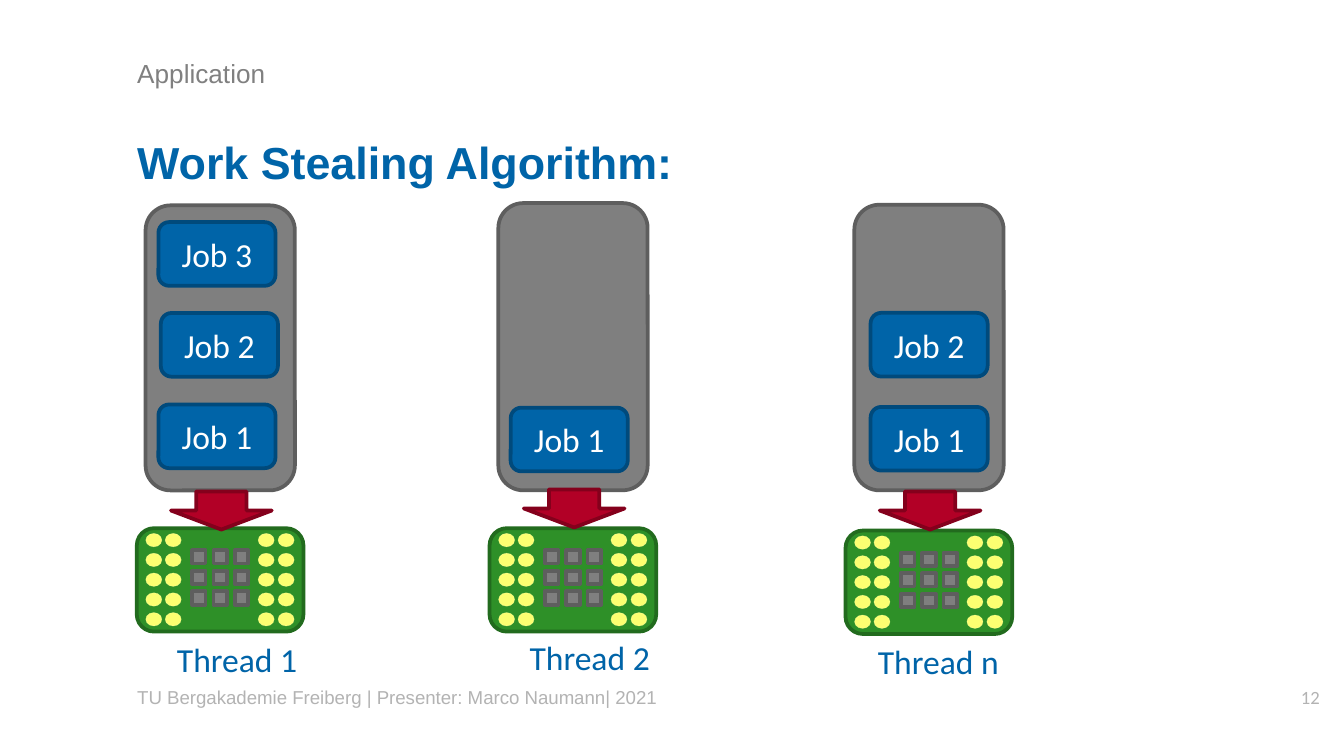
import pptx
import pptx.dml.color
import pptx.enum.shapes
import pptx.enum.text
import pptx.oxml.ns
import pptx.util
import lxml.etree

Pt = pptx.util.Pt
Kind = pptx.enum.shapes.MSO_SHAPE
Align = pptx.enum.text.PP_ALIGN
Anchor = pptx.enum.text.MSO_ANCHOR

COLORS = {
    "blue": "0064A8", "navy": "004A7C", "white": "FFFFFF",
    "gray": "7F7F7F", "slate": "5E5E5E", "head": "808080", "foot": "B3B3B3",
    "green": "2E9028", "moss": "226B1E", "red": "B20026", "wine": "84001C",
    "gold": "FCFF71", "cream": "FFFFA3",
}


class Deck:
    """Holds the style and the current slide."""

    def __init__(self, wide, high):
        self.show = pptx.Presentation()
        self.show.slide_width = Pt(wide)
        self.show.slide_height = Pt(high)
        self.slide = self.show.slides.add_slide(self.show.slide_layouts[6])

    def color(self, name):
        return pptx.dml.color.RGBColor.from_string(COLORS[name])

    def words(self, par, text, size, font, color, bold=False):
        run = par.add_run()
        run.text = text
        run.font.size = Pt(size)
        run.font.name = font
        run.font.bold = bold
        run.font.color.rgb = self.color(color)

    def text(self, box, text, size, font, color, bold=False, pad=True,
             wrap=True, align=Align.LEFT, anchor=Anchor.TOP, before=0):
        frame = self.slide.shapes.add_textbox(*map(Pt, box)).text_frame
        frame.word_wrap = wrap
        frame.vertical_anchor = anchor
        if not pad:
            frame.margin_left = frame.margin_right = 0
            frame.margin_top = frame.margin_bottom = 0
        par = frame.paragraphs[0]
        par.alignment = align
        par.space_before = Pt(before)
        self.words(par, text, size, font, color, bold)

    def shape(self, kind, box, fill, line, width=2):
        item = self.slide.shapes.add_shape(kind, *map(Pt, box))
        item.shadow.inherit = False
        item.fill.solid()
        item.fill.fore_color.rgb = self.color(fill)
        item.line.color.rgb = self.color(line)
        item.line.width = Pt(width)
        return item

    def dot(self, box):
        item = self.shape(Kind.OVAL, box, "gold", "cream", 0.25)
        qn = pptx.oxml.ns.qn
        edge = item.element.spPr.find(qn("a:ln"))
        tint = edge.find(".//" + qn("a:srgbClr"))
        lxml.etree.SubElement(tint, qn("a:alpha")).set("val", "50000")

    def chip(self, left, top):
        self.shape(Kind.ROUNDED_RECTANGLE, (left, top, 89.3, 55.4),
                   "green", "moss")
        # Cores: three by three
        for row in range(3):
            for col in range(3):
                self.shape(Kind.RECTANGLE,
                           (left + 29.7 + 11.4 * col, top + 11.8 + 11 * row,
                            7.2, 7.2), "gray", "slate")
        # Pins: two columns on each side
        for shift in (4.8, 15.2, 65, 75.7):
            for row in range(5):
                self.dot((left + shift, top + 2.8 + 10.6 * row, 8.6, 7.2))

    def job(self, left, top, text):
        item = self.shape(Kind.ROUNDED_RECTANGLE, (left, top, 62.7, 34.1),
                          "blue", "navy")
        frame = item.text_frame
        frame.vertical_anchor = Anchor.MIDDLE
        par = frame.paragraphs[0]
        par.alignment = Align.CENTER
        self.words(par, text, 18, "Calibri", "white")


# Name, chip corner, queue top, arrow top, label corner, job corners from Job 1
THREADS = [
    ("Thread 1", (73.3, 283), 110, 263.3, (87.7, 339),
     [(84.9, 216.7), (86.2, 167.7), (84.9, 119)]),
    ("Thread 2", (262.3, 283), 108.8, 262.2, (276.6, 337.8),
     [(273.6, 218.4)]),
    ("Thread n", (453, 284.3), 109.7, 263.3, (463.2, 339.6),
     [(466.4, 218), (466.4, 167.6)]),
]


def main():
    deck = Deck(720, 405)

    # Title, heading and footer
    deck.text((73.5, 14.4, 575, 49.7), "Application", 14, "Arial", "head",
              pad=False, anchor=Anchor.MIDDLE)
    deck.text((73.5, 72, 575, 34), "Work Stealing Algorithm:", 24, "Arial",
              "blue", bold=True, pad=False, before=4.8)
    deck.text((73.5, 367.2, 575, 28),
              "TU Bergakademie Freiberg | Presenter: Marco Naumann| 2021",
              10, "Arial", "foot", pad=False)
    deck.text((649.4, 367.2, 57.6, 28.8), "12", 10, "Calibri", "foot",
              pad=False, align=Align.RIGHT)

    # Each thread: chip, queue, label, arrow and jobs
    for name, (left, top), queue, arrow, label, jobs in THREADS:
        deck.chip(left, top)
        deck.shape(Kind.ROUNDED_RECTANGLE,
                   (left + 4.7, queue, 80, 262.7 - queue), "gray", "slate")
        deck.text((*label, 80, 29), name, 18, "Calibri", "blue", wrap=False)
        deck.shape(Kind.DOWN_ARROW, (left + 18.3, arrow, 54, 20.4),
                   "red", "wine")
        for rank, spot in enumerate(jobs, 1):
            deck.job(*spot, f"Job {rank}")

    deck.show.save("out.pptx")


if __name__ == "__main__":
    main()
